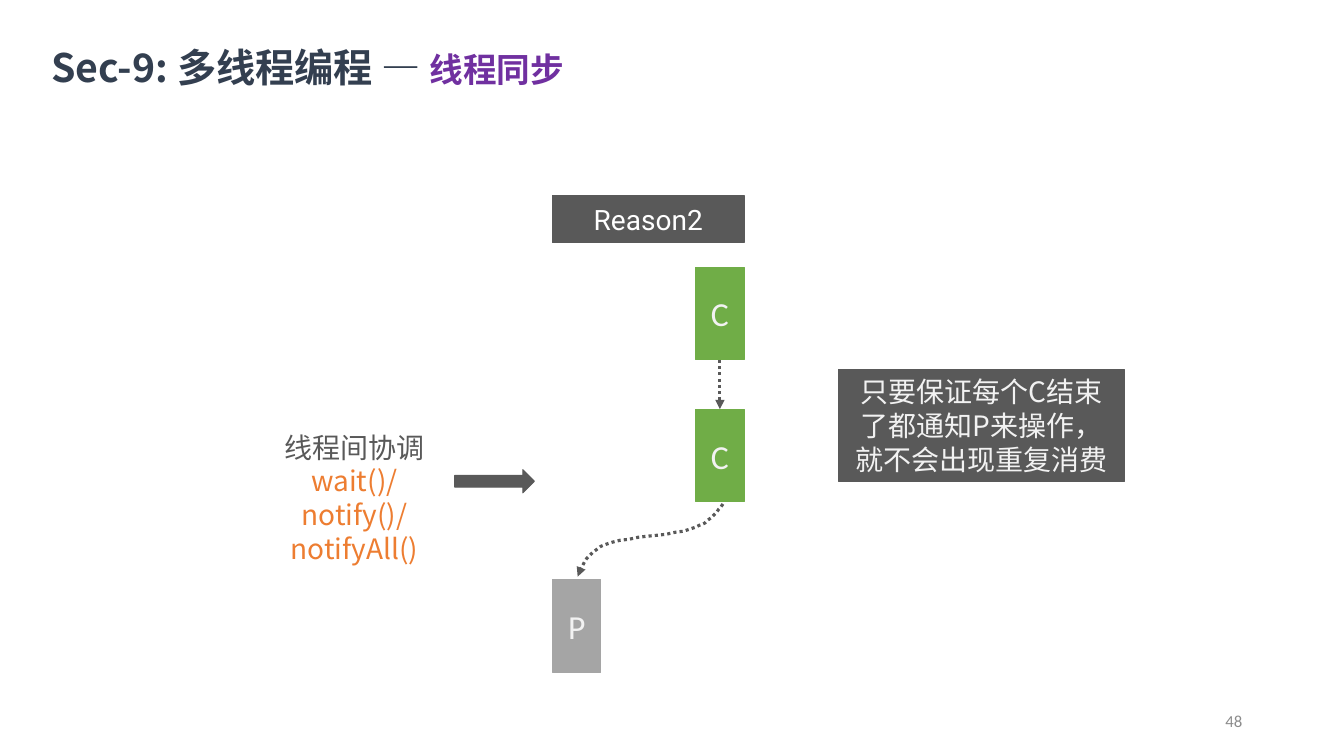
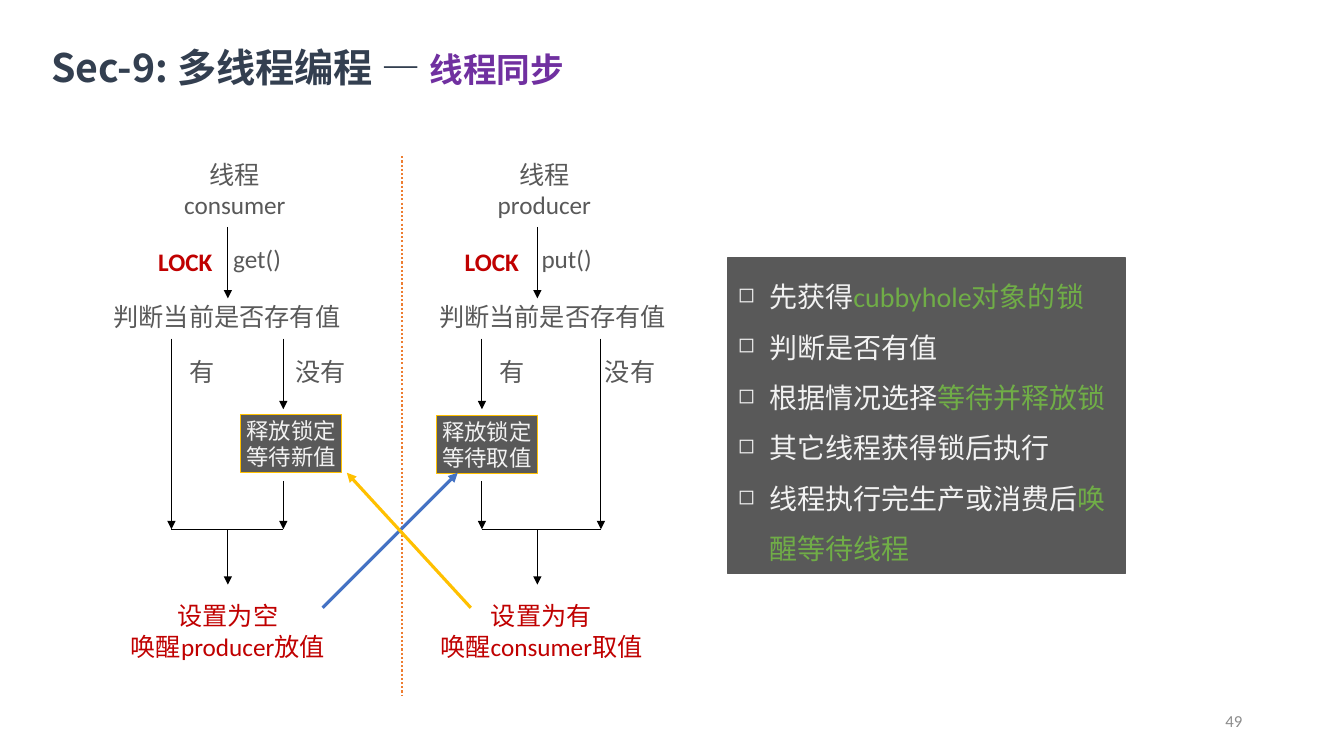
from dataclasses import dataclass
from typing import NamedTuple

from lxml import etree
from pptx import Presentation
from pptx.dml.color import RGBColor
from pptx.enum.dml import MSO_LINE
from pptx.enum.lang import MSO_LANGUAGE_ID
from pptx.enum.shapes import MSO_CONNECTOR, MSO_SHAPE
from pptx.enum.text import MSO_ANCHOR, PP_ALIGN
from pptx.oxml.ns import qn
from pptx.util import Pt

PX = 9144  # EMU in one px, 100 px to the inch

BLACK = RGBColor(0x00, 0x00, 0x00)
WHITE = RGBColor(0xFF, 0xFF, 0xFF)
PALE = RGBColor(0xF2, 0xF2, 0xF2)
DARK = RGBColor(0x59, 0x59, 0x59)
GRAY = RGBColor(0xA5, 0xA5, 0xA5)
NUMBER_GRAY = RGBColor(0x8C, 0x8C, 0x8C)
NAVY = RGBColor(0x33, 0x3F, 0x50)
PURPLE = RGBColor(0x70, 0x30, 0xA0)
GREEN = RGBColor(0x70, 0xAD, 0x47)
ORANGE = RGBColor(0xED, 0x7D, 0x31)
GOLD = RGBColor(0xFF, 0xC0, 0x00)
BLUE = RGBColor(0x44, 0x72, 0xC4)
RED = RGBColor(0xC0, 0x00, 0x00)

LATIN = "Calibri"
HAN = "Noto Sans CJK SC"
ROBOTO = "Roboto"

LEFT, CENTER, RIGHT = PP_ALIGN.LEFT, PP_ALIGN.CENTER, PP_ALIGN.RIGHT
TOP, MIDDLE = MSO_ANCHOR.TOP, MSO_ANCHOR.MIDDLE
RECTANGLE, RIGHT_ARROW = MSO_SHAPE.RECTANGLE, MSO_SHAPE.RIGHT_ARROW
STRAIGHT = MSO_CONNECTOR.STRAIGHT
DOTTED = MSO_LINE.ROUND_DOT
CHINESE = MSO_LANGUAGE_ID.SIMPLIFIED_CHINESE


class Box(NamedTuple):
    left: int
    top: int
    width: int
    height: int

    def emu(self) -> list[int]:
        return [length * PX for length in self]


class Point(NamedTuple):
    x: int
    y: int


class Span(NamedTuple):
    text: str
    color: RGBColor | None = None
    size: int | None = None


Line = str | tuple[Span, ...]


@dataclass(frozen=True)
class TextStyle:
    size: int
    color: RGBColor
    font: str = LATIN
    bold: bool = False
    align: PP_ALIGN = CENTER
    anchor: MSO_ANCHOR = MIDDLE
    wrap: bool = True
    side_margin: int = 10
    bullet: str = ""
    spacing: float = 1.0


@dataclass(frozen=True)
class Stroke:
    color: RGBColor
    width: float = 0.75
    dotted: bool = False
    arrow: bool = True


@dataclass(frozen=True)
class Lane:
    """One thread of the flow chart; x values are its columns."""
    name: str
    call: str
    center: int
    yes_x: int
    no_x: int
    wait_x: int
    question_center: int
    no_label_left: int
    lock_left: int
    wait_box: Box
    wait_for: str
    result_center: int
    result: tuple[str, str]


TITLE = TextStyle(28, NAVY, HAN, bold=True, align=LEFT, anchor=TOP, side_margin=0)
PAGE_NUMBER = TextStyle(12, NUMBER_GRAY, align=RIGHT)
HEADING = TextStyle(20, WHITE, ROBOTO, wrap=False)
THREAD = TextStyle(24, PALE)
HINT = TextStyle(20, DARK, HAN, anchor=TOP)
REMARK = TextStyle(20, PALE, HAN, anchor=TOP)
LABEL = TextStyle(18, DARK, wrap=False, side_margin=0)
RESULT = TextStyle(18, RED, wrap=False, side_margin=0)
LOCK = TextStyle(18, RED, bold=True, align=LEFT, anchor=TOP)
WAIT = TextStyle(16, PALE, wrap=False, side_margin=0)
STEPS = TextStyle(20, PALE, align=LEFT, anchor=TOP, bullet="◻", spacing=1.5)

FLOW = Stroke(BLACK)
JOIN = Stroke(BLACK, arrow=False)
HANDOVER = Stroke(DARK, 2.25, dotted=True)

LANES = [
    Lane("consumer", "get()", 226, 170, 281, 281, 225, 286, 147,
         Box(239, 411, 100, 58), "等待新值", 226, ("设置为空", "唤醒producer放值")),
    Lane("producer", "put()", 533, 478, 596, 478, 548, 593, 451,
         Box(433, 412, 100, 58), "等待取值", 537, ("设置为有", "唤醒consumer取值")),
]
BRANCH_TOP, JOIN_Y = 336, 525


def add_bullet(paragraph, character: str) -> None:
    properties = paragraph._p.get_or_add_pPr()
    properties.set("marL", str(31 * PX))
    properties.set("indent", str(-31 * PX))
    etree.SubElement(properties, qn("a:buSzPct")).set("val", "75000")
    etree.SubElement(properties, qn("a:buChar")).set("char", character)


def write(shape, lines: list[Line], style: TextStyle) -> None:
    frame = shape.text_frame
    frame.word_wrap = style.wrap
    frame.vertical_anchor = style.anchor
    frame.margin_left = frame.margin_right = style.side_margin * PX
    for index, line in enumerate(lines):
        paragraph = frame.add_paragraph() if index else frame.paragraphs[0]
        paragraph.alignment = style.align
        paragraph.line_spacing = style.spacing
        if style.bullet:
            add_bullet(paragraph, style.bullet)
        font = paragraph.font
        font.name, font.size, font.bold = style.font, Pt(style.size), style.bold
        font.color.rgb = style.color
        font.language_id = CHINESE
        for span in (Span(line),) if isinstance(line, str) else line:
            run = paragraph.add_run()
            run.text = span.text
            if span.color is not None:
                run.font.color.rgb = span.color
            if span.size is not None:
                run.font.size = Pt(span.size)


def add_text(slide, box: Box, lines: list[Line], style: TextStyle):
    shape = slide.shapes.add_textbox(*box.emu())
    write(shape, lines, style)
    return shape


def add_block(slide, box: Box, fill: RGBColor, outline: RGBColor, kind=RECTANGLE):
    shape = slide.shapes.add_shape(kind, *box.emu())
    shape.shadow.inherit = False
    shape.fill.solid()
    shape.fill.fore_color.rgb = fill
    shape.line.color.rgb = outline
    shape.line.width = Pt(0.75)
    return shape


def apply_stroke(shape, stroke: Stroke) -> None:
    shape.line.color.rgb = stroke.color
    shape.line.width = Pt(stroke.width)
    if stroke.dotted:
        shape.line.dash_style = DOTTED
    if stroke.arrow:
        outline = shape.element.spPr.get_or_add_ln()
        etree.SubElement(outline, qn("a:tailEnd")).set("type", "triangle")


def add_line(slide, start: Point, end: Point, stroke: Stroke) -> None:
    connector = slide.shapes.add_connector(
        STRAIGHT, *(value * PX for value in (*start, *end)))
    apply_stroke(connector, stroke)
    etree.SubElement(connector.element.spPr, qn("a:effectLst"))


def add_curve(slide, points: list[Point], stroke: Stroke, steps: int = 10) -> None:
    """Draw joined cubic curves: a start, then two controls and an end for each."""
    vertices = []
    for first in range(0, len(points) - 1, 3):
        controls = points[first:first + 4]
        for step in range(1, steps + 1):
            t = step / steps
            weights = ((1 - t) ** 3, 3 * t * (1 - t) ** 2, 3 * t * t * (1 - t), t ** 3)
            vertices.append((
                sum(weight * point.x for weight, point in zip(weights, controls)),
                sum(weight * point.y for weight, point in zip(weights, controls))))
    builder = slide.shapes.build_freeform(*points[0], scale=float(PX))
    builder.add_line_segments(vertices, close=False)
    shape = builder.convert_to_shape()
    shape.shadow.inherit = False
    shape.fill.background()
    apply_stroke(shape, stroke)


def new_slide(presentation, number: int):
    slide = presentation.slides.add_slide(presentation.slide_layouts[6])
    add_text(slide, Box(942, 695, 300, 40), [str(number)], PAGE_NUMBER)
    title = add_text(slide, Box(51, 42, 648, 48), [
        (Span("Sec-9: 多线程编程 — "), Span("线程同步", PURPLE, 24))], TITLE)
    title.text_frame.margin_top = PX
    title.text_frame.margin_bottom = 0
    return slide


def build_reason_slide(presentation) -> None:
    slide = new_slide(presentation, 48)
    write(add_block(slide, Box(548, 194, 190, 47), DARK, DARK), ["Reason2"], HEADING)
    for name, left, top, color in (
            ("P", 548, 575, GRAY), ("C", 690, 406, GREEN), ("C", 690, 265, GREEN)):
        write(add_block(slide, Box(left, top, 48, 92), color, color), [name], THREAD)
    add_line(slide, Point(714, 357), Point(714, 406), HANDOVER)
    add_curve(slide, [
        Point(717, 500), Point(710, 509), Point(704, 519), Point(684, 525),
        Point(665, 532), Point(620, 532), Point(601, 540),
        Point(583, 547), Point(578, 559), Point(573, 572)], HANDOVER)
    add_text(slide, Box(249, 422, 205, 111), [
        "线程间协调", (Span("wait()/notify()/notifyAll()", ORANGE),)], HINT)
    add_block(slide, Box(451, 466, 79, 23), DARK, DARK, RIGHT_ARROW)
    write(add_block(slide, Box(832, 367, 283, 111), DARK, DARK),
          ["只要保证每个C结束了都通知P来操作，就不会出现重复消费"], REMARK)


def draw_lane(slide, lane: Lane) -> None:
    add_text(slide, Box(lane.center - 53, 155, 120, 66), ["线程", lane.name], LABEL)
    add_line(slide, Point(lane.center, 225), Point(lane.center, 296), FLOW)
    add_text(slide, Box(lane.center - 3, 239, 64, 35), [lane.call], LABEL)
    add_text(slide, Box(lane.lock_left, 239, 76, 40), ["LOCK"], LOCK)
    add_text(slide, Box(lane.question_center - 125, 296, 250, 35),
             ["判断当前是否存有值"], LABEL)
    add_text(slide, Box(lane.yes_x - 2, 351, 64, 35), ["有"], LABEL)
    add_text(slide, Box(lane.no_label_left, 351, 64, 35), ["没有"], LABEL)

    for x in (lane.yes_x, lane.no_x):
        waits = x == lane.wait_x
        pieces = [(BRANCH_TOP, 406), (477, JOIN_Y)] if waits else [(BRANCH_TOP, JOIN_Y)]
        for top, bottom in pieces:
            add_line(slide, Point(x, top), Point(x, bottom), FLOW)
    write(add_block(slide, lane.wait_box, DARK, GOLD), ["释放锁定", lane.wait_for], WAIT)

    add_line(slide, Point(lane.yes_x, JOIN_Y), Point(lane.no_x, JOIN_Y), JOIN)
    add_line(slide, Point(lane.center, JOIN_Y), Point(lane.center, 580), FLOW)
    add_text(slide, Box(lane.result_center - 125, 577, 250, 98),
             list(lane.result), RESULT)


def build_flow_slide(presentation) -> None:
    slide = new_slide(presentation, 49)
    for lane in LANES:
        draw_lane(slide, lane)
    add_line(slide, Point(399, 155), Point(399, 690),
             Stroke(ORANGE, 1.5, dotted=True, arrow=False))
    add_line(slide, Point(320, 603), Point(454, 469), Stroke(BLUE, 2.25))
    add_line(slide, Point(467, 603), Point(344, 469), Stroke(GOLD, 2.25))
    write(add_block(slide, Box(722, 256, 394, 313), DARK, DARK), [
        (Span("先获得"), Span("cubbyhole对象的锁", GREEN)),
        "判断是否有值",
        (Span("根据情况选择"), Span("等待并释放锁", GREEN)),
        "其它线程获得锁后执行",
        (Span("线程执行完生产或消费后"), Span("唤醒等待线程", GREEN)),
    ], STEPS)


def main() -> None:
    presentation = Presentation()
    presentation.slide_width, presentation.slide_height = 1333 * PX, 750 * PX
    build_reason_slide(presentation)
    build_flow_slide(presentation)
    presentation.save("out.pptx")


if __name__ == "__main__":
    main()
